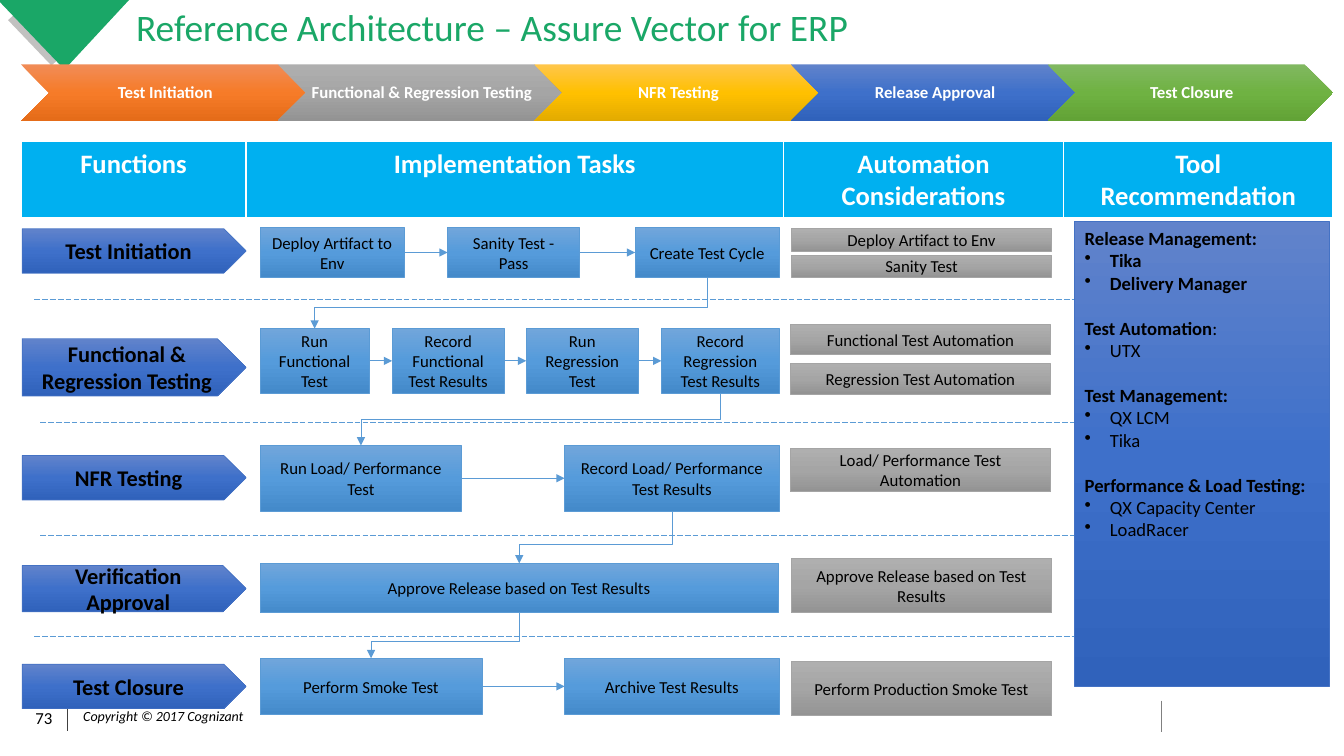
import copy
import pptx
import pptx.util
import pptx.dml.color
import pptx.enum.dml
import pptx.enum.shapes
import pptx.enum.text
import pptx.oxml
import pptx.oxml.ns

# Content
TITLE = "Reference Architecture – Assure Vector for ERP"
PAGE, RIGHTS = "73", "Copyright © 2017 Cognizant"
STEPS = [("Test Initiation", "orange"), ("Functional & Regression Testing", "gray"),
         ("NFR Testing", "gold"), ("Release Approval", "navy"), ("Test Closure", "green")]
HEADS = [("Functions", 2.23), ("Implementation Tasks", 5.33),
         ("Automation Considerations", 2.78), ("Tool Recommendation", 2.67)]
# Each lane: name, plate (top, height), task row (top, height),
# tasks (text, left, width), automation (left, top, height, pitch), its texts
LANES = [
    ("Test Initiation", (2.27, 0.44), (2.26, 0.49),
     [("Deploy Artifact to Env", 2.58, 1.43), ("Sanity Test - Pass", 4.44, 1.31),
      ("Create Test Cycle", 6.3, 1.43)],
     (7.85, 2.27, 0.22, 0.26), ["Deploy Artifact to Env", "Sanity Test"]),
    ("Functional & Regression Testing", (3.36, 0.57), (3.26, 0.64),
     [("Run Functional Test", 2.58, 1.08), ("Record Functional Test Results", 3.89, 1.11),
      ("Run Regression Test", 5.22, 1.11), ("Record Regression Test Results", 6.56, 1.17)],
     (7.84, 3.22, 0.3, 0.39), ["Functional Test Automation", "Regression Test Automation"]),
    ("NFR Testing", (4.52, 0.44), (4.42, 0.65),
     [("Run Load/ Performance Test", 2.58, 2), ("Record Load/ Performance Test Results", 5.6, 2.13)],
     (7.84, 4.45, 0.43, 0), ["Load/ Performance Test Automation"]),
    ("Verification Approval", (5.61, 0.46), (5.59, 0.49),
     [("Approve Release based on Test Results", 2.58, 5.14)],
     (7.85, 5.54, 0.54, 0), ["Approve Release based on Test Results"]),
    ("Test Closure", (6.59, 0.44), (6.53, 0.56),
     [("Perform Smoke Test", 2.58, 2.2), ("Archive Test Results", 5.6, 2.13)],
     (7.85, 6.56, 0.54, 0), ["Perform Production Smoke Test"]),
]
RULES = [(0.34, 2.97), (0.4, 4.19), (0.4, 5.31), (0.34, 6.31)]
TURNS = [0.58, 0.5, 0.63, 0.63]  # share of each drop before the elbow turns
TOOLS = [("Release Management", ":", True, ["Tika", "Delivery Manager"]),
         ("Test Automation", ":", False, ["UTX"]),
         ("Test Management", ":", False, ["QX LCM", "Tika"]),
         ("Performance & Load Testing", ":", False, ["QX Capacity Center", "LoadRacer"])]

THEME = {
    "font": "Calibri", "green": "1AA767", "shade": "C1C1C0", "head": "00B0F0",
    "white": "FFFFFF", "ink": "000000", "flow": "5B9BD5", "dark": "404040", "mid": "808080",
    "edge": {"navy": "4472C4", "blue": "5B9BD5", "gray": "A5A5A5"},
    "grad": {"orange": ("F18C57", "F67B28", "E56C19"), "gray": ("AFAFAF", "A5A5A5", "939393"),
             "gold": ("FFC64B", "FFC000", "E3AB00"), "navy": ("6183CB", "3E70CA", "3062BB"),
             "green": ("81B861", "6FB242", "62A336"), "blue": ("71A6DB", "559BDB", "448ACA")},
    "size": {"title": 26.7, "head": 19, "lane": 16, "tool": 13.3, "body": 12, "foot": 10},
}

inch, Pt = pptx.util.Inches, pptx.util.Pt
qn = pptx.oxml.ns.qn
KIND = pptx.enum.shapes.MSO_SHAPE
LINK = pptx.enum.shapes.MSO_CONNECTOR
ALIGN = pptx.enum.text.PP_ALIGN
ANCHOR = pptx.enum.text.MSO_ANCHOR

deck = pptx.Presentation()
deck.slide_width, deck.slide_height = inch(13.33), inch(7.5)
slide = deck.slides.add_slide(deck.slide_layouts[6])
items = slide.shapes


# Helpers
def rgb(code):
    return pptx.dml.color.RGBColor.from_string(code)


def style(para, size, color="ink", bold=False, align=ALIGN.CENTER):
    para.alignment = align
    font = para.font
    font.name, font.size, font.bold = THEME["font"], Pt(THEME["size"][size]), bold
    font.color.rgb = rgb(THEME[color])


def inset(frame, left, top, right, foot):
    frame.margin_left, frame.margin_top = inch(left), inch(top)
    frame.margin_right, frame.margin_bottom = inch(right), inch(foot)


def label(text, box, size, color="ink", align=ALIGN.CENTER, pad=(0, 0, 0, 0), anchor=ANCHOR.MIDDLE):
    frame = items.add_textbox(*map(inch, box)).text_frame
    frame.word_wrap, frame.vertical_anchor = True, anchor
    inset(frame, *pad)
    frame.text = text
    style(frame.paragraphs[0], size, color, align=align)
    return frame.paragraphs[0]


def block(kind, box, tone, text="", size="body", color="ink", bold=False):
    shape = items.add_shape(kind, *map(inch, box))
    shape.shadow.inherit = False
    shape.fill.gradient()
    shape.fill.gradient_angle = 270
    stops = shape.fill._fill._gradFill.find(qn("a:gsLst"))
    stops.append(copy.deepcopy(stops[-1]))
    for stop, code, place in zip(shape.fill.gradient_stops, THEME["grad"][tone], (0, 0.5, 1)):
        stop.color.rgb, stop.position = rgb(code), place
    if kind == KIND.CHEVRON:
        shape.line.fill.background()
    else:
        shape.line.color.rgb, shape.line.width = rgb(THEME["edge"][tone]), Pt(0.5)
    frame = shape.text_frame
    frame.word_wrap, frame.vertical_anchor = True, ANCHOR.MIDDLE
    frame.text = text
    style(frame.paragraphs[0], size, color, bold)
    return shape


def link(x1, y1, x2, y2, color="flow", arrow=False, kind=LINK.STRAIGHT):
    wire = items.add_connector(kind, *map(inch, (x1, y1, x2, y2)))
    wire.line.color.rgb, wire.line.width = rgb(THEME[color]), Pt(0.5)
    if arrow:
        tip = pptx.oxml.parse_xml('<a:tailEnd %s type="triangle"/>' % pptx.oxml.ns.nsdecls("a"))
        wire.line._get_or_add_ln().append(tip)
    props = wire._element.spPr
    props.append(props.makeelement(qn("a:effectLst"), {}))
    return wire


def drop(x1, y1, x2, y2, turn):
    # A quarter turn makes the elbow leave downwards
    mid, row = (x1 + x2) / 2, (y1 + y2) / 2
    wide, tall = (y2 - y1) / 2, (x1 - x2) / 2
    wire = link(mid - wide, row - tall, mid + wide, row + tall, arrow=True, kind=LINK.ELBOW)
    props = wire._element.spPr
    props.find(qn("a:xfrm")).set("rot", "5400000")
    guides = props.find(qn("a:prstGeom")).get_or_add_avLst()
    guides.append(guides.makeelement(qn("a:gd"), {"name": "adj1", "fmla": f"val {turn * 100000:.0f}"}))


def corner(points, color):
    spots = [(inch(x), inch(y)) for x, y in points]
    pen = items.build_freeform(*spots[0])
    pen.add_line_segments(spots[1:], close=True)
    shape = pen.convert_to_shape()
    shape.shadow.inherit = False
    shape.fill.solid()
    shape.fill.fore_color.rgb = rgb(THEME[color])
    shape.line.fill.background()


# Frame: corner mark, footer and title
link(0.67, 6.97, 0.67, 7.25, "dark")
link(11.52, 6.95, 11.52, 7.26, "mid")
corner([(0.6, 0.57), (0.51, 0.65), (0.08, 0.2), (0.17, 0.12)], "shade")
corner([(0.64, 0.69), (1.28, 0), (-0.02, 0)], "green")
label(RIGHTS, (0.72, 6.99, 1.8, 0.23), "foot", pad=(0.06, 0.03, 0.06, 0.03)).font.italic = True
label(PAGE, (0.16, 6.97, 0.55, 0.3), "body")
label(TITLE, (1.28, 0.09, 11.77, 0.56), "title", "green", ALIGN.LEFT,
      (0.07, 0, 0.07, 0), ANCHOR.TOP).line_spacing = 0.9

# Step chevrons
for i, (text, tone) in enumerate(STEPS):
    step = block(KIND.CHEVRON, (0.21 + i * 2.545, 0.64, 2.83, 0.56), tone, text, color="white", bold=True)
    inset(step.text_frame, 0.05, 0.02, 0.02, 0.02)
    step.text_frame.paragraphs[0].line_spacing = 0.9

# Column heads
grid = items.add_table(1, len(HEADS), *map(inch, (0.21, 1.4, 13.01, 0.76))).table
grid.first_row = grid.horz_banding = False
for i, (text, width) in enumerate(HEADS):
    grid.columns[i].width = inch(width)
    cell = grid.cell(0, i)
    cell.text = text
    inset(cell, 0.13, 0.07, 0.13, 0.07)
    style(cell.text_frame.paragraphs[0], "head", "white", True)
    props = cell._tc.get_or_add_tcPr()
    for side, weight in (("L", 1), ("R", 1), ("T", 1), ("B", 3)):
        props.append(pptx.oxml.parse_xml(
            '<a:ln%s %s w="%d"><a:solidFill><a:srgbClr val="%s"/></a:solidFill></a:ln%s>'
            % (side, pptx.oxml.ns.nsdecls("a"), Pt(weight), THEME["white"], side)))
    cell.fill.solid()
    cell.fill.fore_color.rgb = rgb(THEME["head"])

# Lane dividers
for left, top in RULES:
    link(left, top, left + 12.53, top).line.dash_style = pptx.enum.dml.MSO_LINE.LONG_DASH

# Lanes: plate, chained tasks, automation
for name, (top, tall), (row, high), tasks, (left, first, deep, pitch), autos in LANES:
    block(KIND.PENTAGON, (0.22, top, 2.22, tall), "navy", name, "lane", bold=True)
    boxes = [block(KIND.RECTANGLE, (x, row, w, high), "blue", text) for text, x, w in tasks]
    for a, b in zip(boxes, boxes[1:]):
        wire = link(0, row, 1, row, arrow=True)
        wire.begin_connect(a, 3)
        wire.end_connect(b, 1)
    for i, text in enumerate(autos):
        block(KIND.RECTANGLE, (left, first + i * pitch, 2.58, deep), "gray", text)

# Drops from the last task of a lane to the first of the next
for lane, below, turn in zip(LANES, LANES[1:], TURNS):
    (_, x1, w1), (_, x2, w2) = lane[3][-1], below[3][0]
    drop(x1 + w1 / 2, sum(lane[2]), x2 + w2 / 2, below[2][0], turn)

# Tool panel
frame = block(KIND.RECTANGLE, (10.66, 2.2, 2.53, 4.61), "navy").text_frame
frame.vertical_anchor = ANCHOR.TOP
for i, (name, mark, strong, tools) in enumerate(TOOLS):
    para = frame.add_paragraph() if i else frame.paragraphs[0]
    para.add_run().text = name
    para.add_run().text = mark
    style(para, "tool", bold=True, align=ALIGN.LEFT)
    if i:
        para.space_before = Pt(16.2)
    if name == "Test Automation":
        para.runs[1].font.bold = False
    for tool in tools:
        para = frame.add_paragraph()
        para.text = tool
        props = para._p.get_or_add_pPr()
        props.set("marL", str(inch(0.25)))
        props.set("indent", str(-inch(0.25)))
        props.append(props.makeelement(qn("a:buChar"), {"char": "•"}))
        style(para, "tool", bold=strong, align=ALIGN.LEFT)

deck.save("out.pptx")
